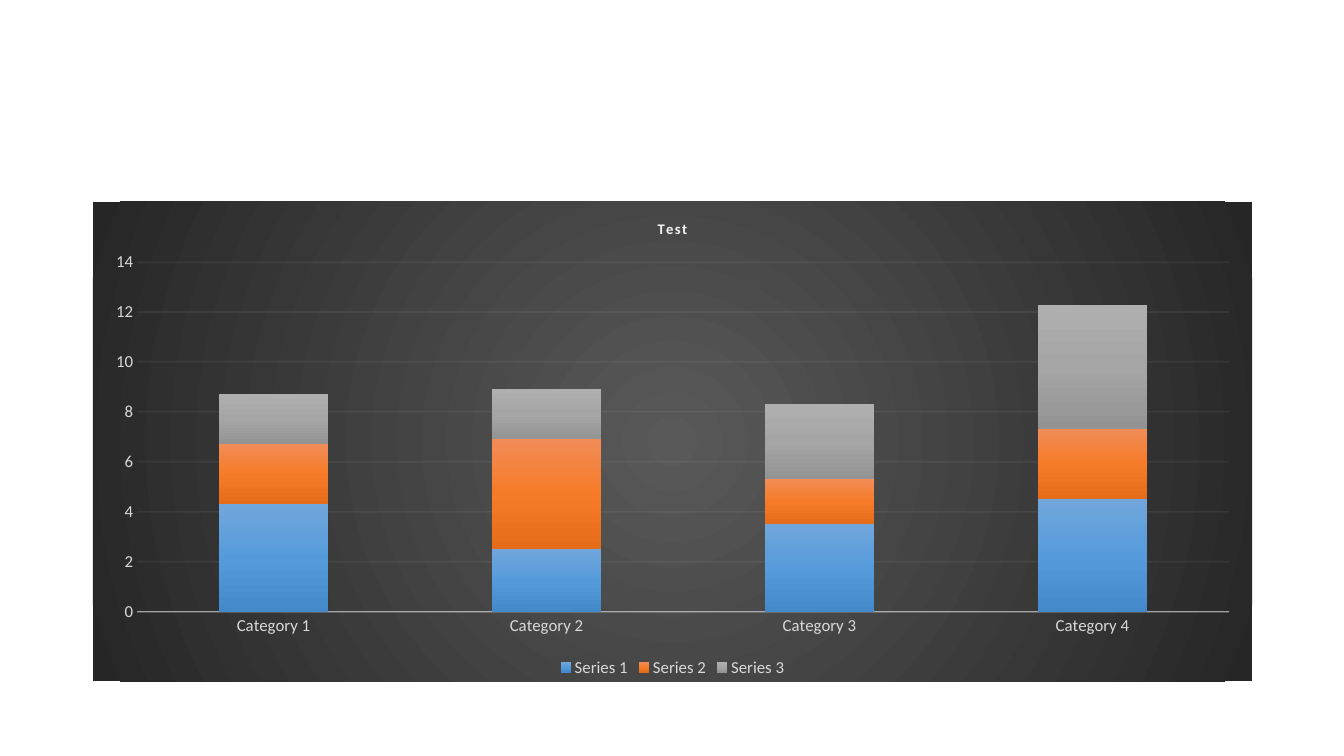
from dataclasses import dataclass

from lxml.etree import SubElement
from pptx import Presentation
from pptx.chart.data import CategoryChartData
from pptx.dml.color import RGBColor
from pptx.dml.line import LineFormat
from pptx.enum.chart import XL_CHART_TYPE, XL_LEGEND_POSITION, XL_TICK_MARK
from pptx.oxml import parse_xml
from pptx.oxml.ns import nsdecls, qn
from pptx.text.text import Font
from pptx.util import Inches, Pt

FONT = "Calibri"
LABEL_COLOR = "D9D9D9"
LINE_COLOR = "F2F2F2"
CATEGORIES = [f"Category {number}" for number in range(1, 5)]
DOWNWARD = '<a:lin ang="5400000" scaled="0"/>'
FROM_CENTER = ('<a:path path="circle"><a:fillToRect l="50000" t="50000" '
               'r="50000" b="50000"/></a:path>')


@dataclass
class ColumnSeries:
    name: str
    values: list[float]
    shades: list[str]


COLUMN_SERIES = [
    ColumnSeries("Series 1", [4.3, 2.5, 3.5, 4.5], ["71A6DB", "559BDB", "448ACA"]),
    ColumnSeries("Series 2", [2.4, 4.4, 1.8, 2.8], ["F18C57", "F67B28", "E56C19"]),
    ColumnSeries("Series 3", [2, 2, 3, 5], ["AFAFAF", "A5A5A5", "939393"]),
]


def color(value: str) -> RGBColor:
    return RGBColor.from_string(value)


def style_font(font: Font, size: float, shade: str, bold: bool = False) -> None:
    font.name, font.size, font.bold = FONT, Pt(size), bold
    font.color.rgb = color(shade)


def gradient(shades: list[str], direction: str):
    """Build a gradient fill with evenly spaced stops."""
    step = 100000 // (len(shades) - 1)
    stops = "".join(
        f'<a:gs pos="{index * step}"><a:srgbClr val="{shade}"/></a:gs>'
        for index, shade in enumerate(shades))
    return parse_xml(f'<a:gradFill {nsdecls("a")} rotWithShape="1">'
                     f'<a:gsLst>{stops}</a:gsLst>{direction}</a:gradFill>')


def style_line(line: LineFormat, width: float, opacity: int, properties) -> None:
    line.width = Pt(width)
    line.color.rgb = color(LINE_COLOR)
    shade = properties.find(".//" + qn("a:srgbClr"))
    SubElement(shade, qn("a:alpha"), val=str(opacity * 1000))


deck = Presentation()
deck.slide_width, deck.slide_height = Inches(13.33), Inches(7.5)
page = deck.slides.add_slide(deck.slide_layouts[6])

# Stacked column chart
chart_data = CategoryChartData()
chart_data.categories = CATEGORIES
for column in COLUMN_SERIES:
    chart_data.add_series(column.name, column.values)
chart_width, chart_height = Inches(11.5), Inches(4.76)
chart = page.shapes.add_chart(
    XL_CHART_TYPE.COLUMN_STACKED, Inches(0.92), Inches(2),
    chart_width, chart_height, chart_data).chart
style_font(chart.font, 12, LABEL_COLOR)

# Dark background
background = parse_xml(f'<c:spPr {nsdecls("c", "a")}><a:ln><a:noFill/></a:ln></c:spPr>')
background.insert(0, gradient(["595959", "262626"], FROM_CENTER))
chart_space = chart.element
chart_space.find(qn("c:chart")).addnext(background)

# Title
title_span = chart.chart_title.text_frame.paragraphs[0].add_run()
title_span.text = "Test"
style_font(title_span.font, 10.5, LINE_COLOR, bold=True)
title_span.font._element.set("spc", "100")
chart.chart_title.include_in_layout = False

# Columns
plot = chart.plots[0]
plot.gap_width, plot.overlap, plot.vary_by_categories = 150, 100, False
for series, column in zip(plot.series, COLUMN_SERIES):
    series.invert_if_negative = False
    series.format.line.fill.background()
    series.format.fill.background()
    properties = series._element.find(qn("c:spPr"))
    properties.replace(properties.find(qn("a:noFill")),
                       gradient(column.shades, DOWNWARD))

# Axes and gridlines
category_axis, value_axis = chart.category_axis, chart.value_axis
for axis in (category_axis, value_axis):
    axis.major_tick_mark = axis.minor_tick_mark = XL_TICK_MARK.NONE
    style_font(axis.tick_labels.font, 12, LABEL_COLOR)
category_axis.has_major_gridlines = False
style_line(category_axis.format.line, 1, 54,
           category_axis._element.get_or_add_spPr())
value_axis.minimum_scale, value_axis.maximum_scale, value_axis.major_unit = 0, 14, 2
value_axis.format.line.fill.background()
value_axis.has_major_gridlines = True
style_line(value_axis.major_gridlines.format.line, 0.75, 10,
           value_axis._element.find(qn("c:majorGridlines")))

# Legend
chart.has_legend = True
chart.legend.position = XL_LEGEND_POSITION.BOTTOM
chart.legend.include_in_layout = False
style_font(chart.legend.font, 12, LABEL_COLOR)

# Place of the plot inside the chart
plot_area = chart_space.find(".//" + qn("c:plotArea"))
for old_layout in plot_area.findall(qn("c:layout")):
    plot_area.remove(old_layout)
layout = parse_xml(f'<c:layout {nsdecls("c")}><c:manualLayout/></c:layout>')
placement = {
    "layoutTarget": "inner", "xMode": "edge", "yMode": "edge",
    "x": Inches(0.44) / chart_width, "y": Inches(0.6) / chart_height,
    "w": Inches(10.83) / chart_width, "h": Inches(3.47) / chart_height,
}
for tag, value in placement.items():
    SubElement(layout[0], qn(f"c:{tag}"), val=str(value))
plot_area.insert(0, layout)

deck.save("out.pptx")
